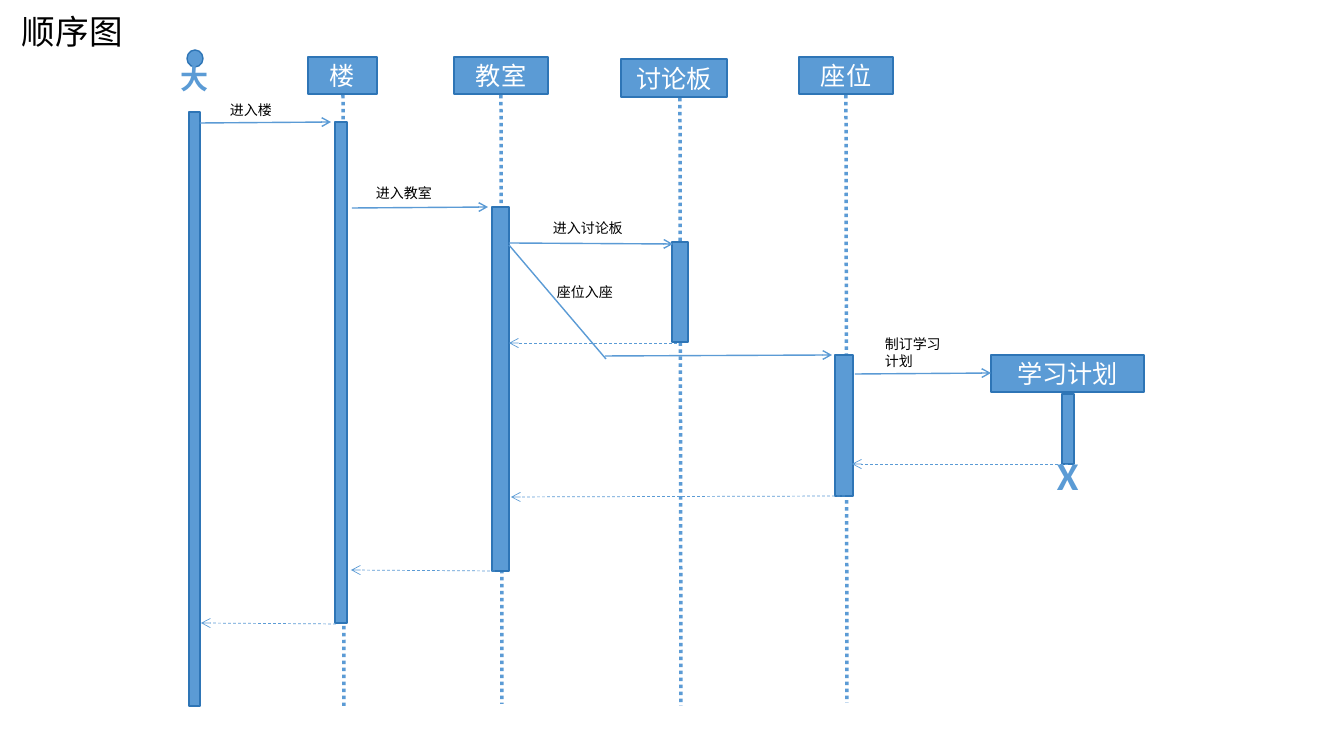
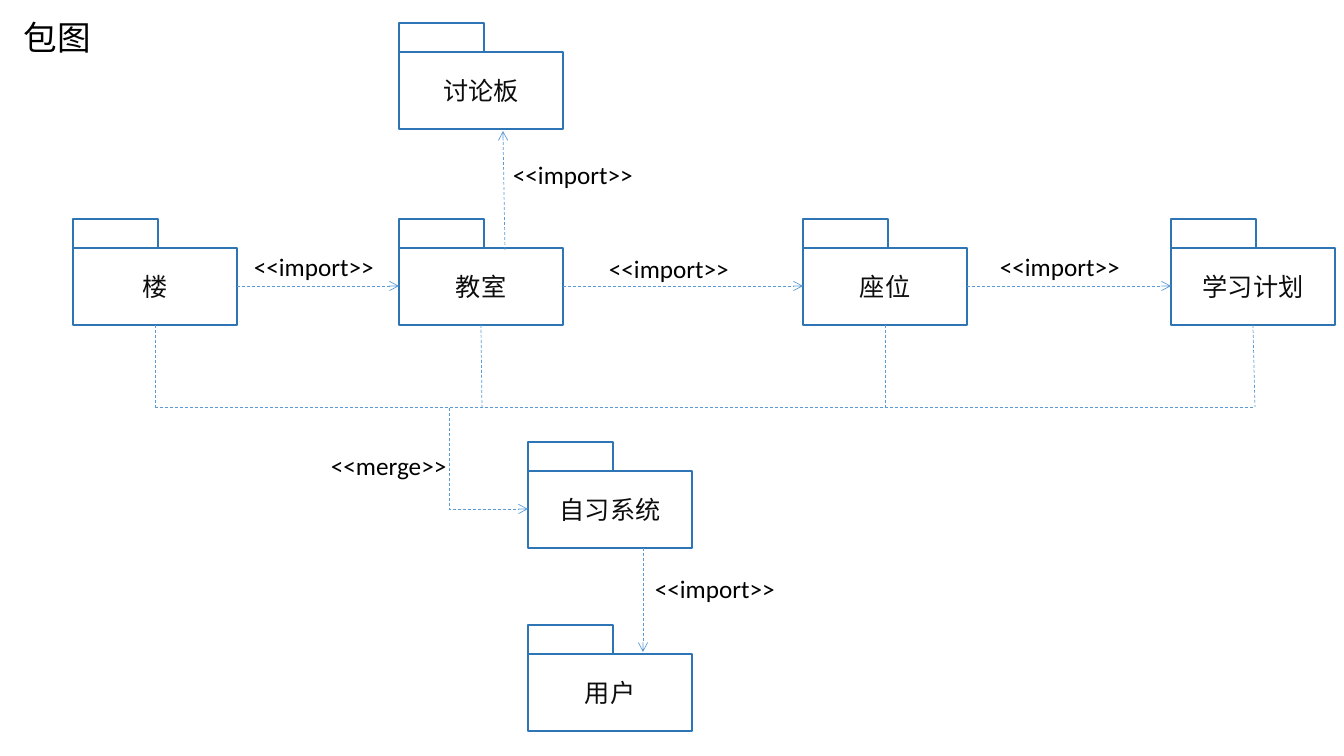
from dataclasses import dataclass
from typing import Any

from lxml import etree
from pptx import Presentation
from pptx.dml.color import RGBColor
from pptx.enum.dml import MSO_LINE
from pptx.enum.shapes import MSO_CONNECTOR, MSO_SHAPE
from pptx.enum.text import MSO_ANCHOR, PP_ALIGN
from pptx.oxml.ns import qn
from pptx.util import Emu, Pt

SCALE = 914400 / 100.8
FONT = "Calibri"
BLUE = RGBColor(0x5B, 0x9B, 0xD5)
EDGE = RGBColor(0x2E, 0x75, 0xB6)
WHITE = RGBColor(0xFF, 0xFF, 0xFF)
BLACK = RGBColor(0x00, 0x00, 0x00)
INK = RGBColor(0x0D, 0x0D, 0x0D)

RECT = MSO_SHAPE.RECTANGLE
OVAL = MSO_SHAPE.OVAL
STRAIGHT = MSO_CONNECTOR.STRAIGHT
ELBOW = MSO_CONNECTOR.ELBOW
DASH = MSO_LINE.DASH
DOTS = MSO_LINE.ROUND_DOT
LEFT = PP_ALIGN.LEFT
CENTER = PP_ALIGN.CENTER
MIDDLE = MSO_ANCHOR.MIDDLE

SOLID = {"width": Pt(1)}
LIFE = {"width": Pt(2.5), "dash_style": DOTS}
REPLY = {"width": Pt(0.5), "dash_style": DASH}

TITLE = {"name": FONT, "size": Pt(24)}
BODY = {"name": FONT, "size": Pt(18)}
SMALL = {"name": FONT, "size": Pt(10)}
ACTOR = {"name": FONT, "size": Pt(20), "bold": True}
CROSS = {"name": FONT, "size": Pt(28), "bold": True}


@dataclass(frozen=True)
class Box:
    x: int
    y: int
    w: int
    h: int
    text: str = ""
    kind: Any = RECT
    fill: RGBColor = BLUE
    ink: RGBColor = WHITE


@dataclass(frozen=True)
class Label:
    x: int
    y: int
    w: int
    h: int
    text: str
    font: dict
    ink: RGBColor = BLACK
    align: Any = LEFT
    wrap: bool = True


@dataclass(frozen=True)
class Link:
    x1: int
    y1: int
    x2: int
    y2: int
    form: dict
    arrow: bool = True
    kind: Any = STRAIGHT


@dataclass(frozen=True)
class Pack:
    x: int
    y: int
    text: str


def px(*sizes: int) -> list[Emu]:
    return [Emu(round(size * SCALE)) for size in sizes]


def apply(target: Any, form: dict) -> None:
    for key, value in form.items():
        setattr(target, key, value)


def write(frame: Any, text: str, font: dict, ink: RGBColor, align: Any) -> None:
    para = frame.paragraphs[0]
    para.alignment = align
    run = para.add_run()
    run.text = text
    apply(run.font, font)
    run.font.color.rgb = ink


def draw_box(shapes: Any, box: Box) -> None:
    shape = shapes.add_shape(box.kind, *px(box.x, box.y, box.w, box.h))
    shape.shadow.inherit = False
    shape.fill.solid()
    shape.fill.fore_color.rgb = box.fill
    shape.line.color.rgb = EDGE
    apply(shape.line, SOLID)
    if box.text:
        shape.text_frame.vertical_anchor = MIDDLE
        write(shape.text_frame, box.text, BODY, box.ink, CENTER)


def draw_label(shapes: Any, label: Label) -> None:
    shape = shapes.add_textbox(*px(label.x, label.y, label.w, label.h))
    shape.text_frame.word_wrap = label.wrap
    write(shape.text_frame, label.text, label.font, label.ink, label.align)


def draw_link(shapes: Any, link: Link) -> None:
    line = shapes.add_connector(link.kind, *px(link.x1, link.y1, link.x2, link.y2))
    line.line.color.rgb = BLUE
    apply(line.line, link.form)
    props = line._element.spPr
    if link.arrow:
        etree.SubElement(props.find(qn("a:ln")), qn("a:tailEnd"), type="arrow")
    etree.SubElement(props, qn("a:effectLst"))


def draw_pack(shapes: Any, pack: Pack) -> None:
    group = shapes.add_group_shape().shapes
    draw_box(group, Box(pack.x, pack.y, 164, 77, pack.text, fill=WHITE, ink=INK))
    draw_box(group, Box(pack.x, pack.y - 29, 85, 29, fill=WHITE))


DRAW = {Box: draw_box, Label: draw_label, Link: draw_link, Pack: draw_pack}


def title(x: int, y: int, text: str) -> Label:
    return Label(x, y, 222, 50, text, TITLE)


def note(x: int, y: int, w: int, text: str) -> Label:
    return Label(x, y, w, 27, text, SMALL)


def stereo(x: int, y: int, word: str = "import", w: int = 182) -> Label:
    return Label(x, y, w, 40, f"<<{word}>>", BODY)


ORDER = [
    title(12, 6, "顺序图"),
    Box(187, 50, 16, 17, kind=OVAL),
    Label(171, 57, 48, 50, "大", ACTOR, BLUE, CENTER, False),
    Link(343, 95, 344, 706, LIFE, False),
    Link(501, 95, 502, 704, LIFE, False),
    Link(680, 98, 681, 706, LIFE, False),
    Link(846, 95, 847, 703, LIFE, False),
    Box(308, 57, 69, 37, "楼"),
    Box(454, 57, 94, 37, "教室"),
    Box(621, 59, 106, 38, "讨论板"),
    Box(799, 57, 94, 37, "座位"),
    Box(991, 355, 153, 37, "学习计划"),
    Box(189, 112, 11, 594),
    Box(335, 122, 12, 501),
    Box(492, 207, 17, 364),
    Box(672, 242, 16, 100),
    Box(835, 355, 18, 141),
    Box(1062, 394, 12, 70),
    Link(200, 123, 331, 122, SOLID),
    Link(352, 208, 488, 207, SOLID),
    Link(509, 243, 673, 244, SOLID),
    Link(606, 359, 509, 245, SOLID, False),
    Link(605, 356, 832, 355, SOLID),
    Link(855, 374, 991, 373, SOLID),
    Link(677, 343, 509, 343, REPLY),
    Link(1068, 464, 852, 464, REPLY),
    Link(845, 496, 511, 497, REPLY),
    Link(495, 571, 351, 570, REPLY),
    Link(336, 624, 201, 623, REPLY),
    Label(1047, 446, 41, 57, "X", CROSS, BLUE, CENTER, False),
    note(220, 97, 72, "进入楼"),
    note(366, 180, 87, "进入教室"),
    note(543, 215, 104, "进入讨论板"),
    note(547, 279, 87, "座位入座"),
    note(875, 331, 87, "制订学习计划"),
]

PACKS = [
    title(14, 12, "包图"),
    Pack(399, 52, "讨论板"),
    Pack(73, 248, "楼"),
    Pack(399, 248, "教室"),
    Pack(803, 248, "座位"),
    Pack(1171, 248, "学习计划"),
    Pack(528, 471, "自习系统"),
    Pack(528, 654, "用户"),
    Link(505, 250, 503, 131, REPLY),
    Link(237, 286, 399, 286, REPLY),
    Link(563, 286, 803, 286, REPLY),
    Link(967, 286, 1171, 286, REPLY),
    Link(643, 548, 643, 652, REPLY),
    Link(155, 325, 155, 407, REPLY, False),
    Link(481, 325, 482, 407, REPLY, False),
    Link(885, 325, 885, 407, REPLY, False),
    Link(1253, 325, 1255, 407, REPLY, False),
    Link(155, 407, 1255, 407, REPLY, False),
    Link(370, 407, 528, 509, REPLY, kind=ELBOW),
    stereo(503, 154),
    stereo(244, 246),
    stereo(599, 248),
    stereo(990, 246),
    stereo(645, 568),
    stereo(321, 445, "merge", 137),
]


def main() -> None:
    deck = Presentation()
    deck.slide_width, deck.slide_height = px(1344, 756)
    for parts in (ORDER, PACKS):
        shapes = deck.slides.add_slide(deck.slide_layouts[6]).shapes
        for part in parts:
            DRAW[type(part)](shapes, part)
    deck.save("out.pptx")


main()
